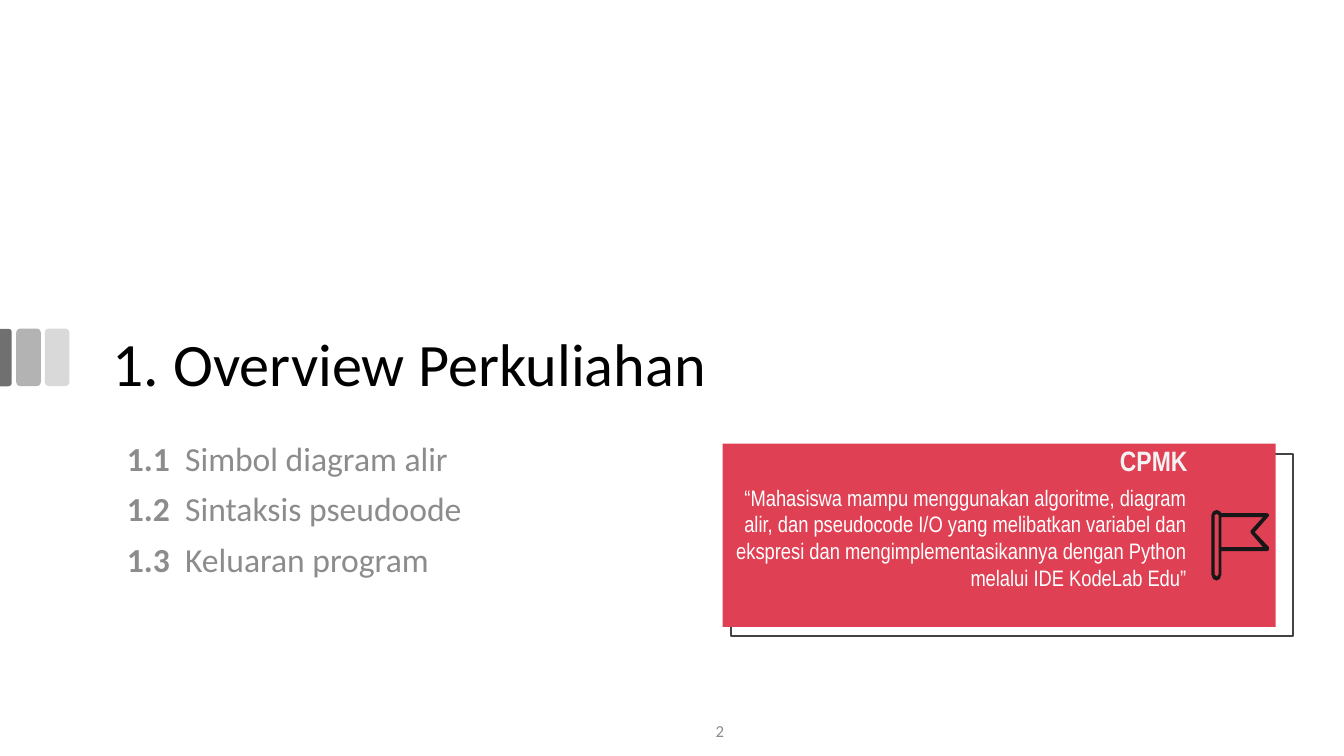
from pptx import Presentation
from pptx.dml.color import RGBColor
from pptx.enum.shapes import MSO_SHAPE
from pptx.enum.text import MSO_ANCHOR, MSO_AUTO_SIZE, PP_ALIGN
from pptx.util import Cm, Pt

RECT, ROUND = MSO_SHAPE.RECTANGLE, MSO_SHAPE.ROUNDED_RECTANGLE
ROUND_TOP = MSO_SHAPE.ROUND_2_SAME_RECTANGLE
LEFT, CENTER, RIGHT, JUSTIFY = PP_ALIGN.LEFT, PP_ALIGN.CENTER, PP_ALIGN.RIGHT, PP_ALIGN.JUSTIFY
TOP, MIDDLE, BOTTOM = MSO_ANCHOR.TOP, MSO_ANCHOR.MIDDLE, MSO_ANCHOR.BOTTOM
NO_FIT = MSO_AUTO_SIZE.NONE

COLORS = {
    "title": "000000", "muted": "8C8C8C", "card": "E04053", "frame": "434343",
    "quote": "FFFFFF", "heading": "F4F2F2", "flag": "181717",
    "bar_dark": "707070", "bar_mid": "B3B3B3", "bar_light": "D9D9D9",
}
TOPICS = [
    ("1.1  ", "Simbol diagram alir", 1.42),
    ("1.2  ", "Sintaksis pseudoode", 1.6),
    ("1.3  ", "Keluaran program", 1.42),
]
QUOTE = ("“Mahasiswa mampu menggunakan algoritme, diagram alir, dan pseudocode I/O "
         "yang melibatkan variabel dan ekspresi dan mengimplementasikannya dengan "
         "Python melalui IDE KodeLab Edu”")
FLAG = [
    [(3066, 1285), (3075, 1289), (3078, 1293), (3193, 1293), (3198, 1296), (3198, 1300),
     (3162, 1341), (3198, 1379), (3198, 1386), (3193, 1389), (3078, 1389), (3078, 1448),
     (3074, 1459), (3066, 1463), (3057, 1459), (3053, 1448), (3053, 1298), (3057, 1289)],
    [(3183, 1303), (3152, 1337), (3152, 1343), (3183, 1379), (3078, 1379), (3078, 1303)],
    [(3066, 1295), (3071, 1298), (3071, 1448), (3066, 1453), (3061, 1448), (3061, 1298)],
]


def apply(obj, values):
    """Set each attribute named in values on obj."""
    for name, value in values.items():
        setattr(obj, name, value)


class Deck:
    """Hold the style and the current slide."""

    def __init__(self):
        """Start a widescreen deck with one title-only slide."""
        self.prs = Presentation()
        apply(self.prs, {"slide_width": Cm(33.87), "slide_height": Cm(19.05)})
        self.s = self.prs.slides.add_slide(self.prs.slide_layouts[5])

    def paint(self, sp, fill=None, line=None):
        """Give a shape its fill and outline and drop its shadow."""
        sp.shadow.inherit = False
        if fill:
            sp.fill.solid()
            sp.fill.fore_color.rgb = RGBColor.from_string(COLORS[fill])
        else:
            sp.fill.background()
        if line:
            sp.line.color.rgb = RGBColor.from_string(COLORS[line])
            sp.line.width = Pt(1.5)
        else:
            sp.line.fill.background()
        return sp

    def shape(self, kind, box, fill=None, line=None):
        """Add a preset shape."""
        return self.paint(self.s.shapes.add_shape(kind, *map(Cm, box)), fill, line)

    def outline(self, contours, fill):
        """Add a filled freeform from contours in hundredths of a centimetre."""
        builder = self.s.shapes.build_freeform(*contours[0][0], scale=Cm(0.01))
        for contour in contours:
            if contour is not contours[0]:
                builder.move_to(*contour[0])
            builder.add_line_segments(contour[1:], close=True)
        return self.paint(builder.convert_to_shape(), fill)

    def frame(self, sp, box, anchor=TOP, inset=0.13):
        """Place a text shape and return its text frame."""
        apply(sp, dict(zip(("left", "top", "width", "height"), map(Cm, box))))
        tf = sp.text_frame
        apply(tf, {"word_wrap": True, "auto_size": NO_FIT, "vertical_anchor": anchor,
                   "margin_left": Cm(0.25), "margin_right": Cm(0.25),
                   "margin_top": Cm(inset), "margin_bottom": Cm(inset)})
        return tf

    def text_box(self, box, anchor=TOP, inset=0.13):
        """Add a text box and return its text frame."""
        sp = self.s.shapes.add_textbox(*map(Cm, box))
        return self.frame(sp, box, anchor, inset)

    def paragraph(self, p, runs, color, font="Calibri", hang=0, **values):
        """Fill a paragraph with (text, size, bold) runs."""
        apply(p, values)
        if hang:
            pPr = p._p.get_or_add_pPr()
            pPr.set("marL", str(Cm(hang)))
            pPr.set("indent", str(-Cm(hang)))
        for text, size, bold in runs:
            r = p.add_run()
            r.text = text
            apply(r.font, {"name": font, "size": Pt(size), "bold": bold})
            r.font.color.rgb = RGBColor.from_string(COLORS[color])

    def title(self, box, runs):
        """Place and fill the title placeholder."""
        tf = self.frame(self.s.shapes.title, box, BOTTOM)
        self.paragraph(tf.paragraphs[0], runs, "title", alignment=LEFT, line_spacing=0.9)

    def topics(self, box, topics):
        """Add the numbered list of topics."""
        tf = self.text_box(box)
        for i, (number, topic, hang) in enumerate(topics):
            p = tf.add_paragraph() if i else tf.paragraphs[0]
            self.paragraph(p, [(number, 24, True), (topic, 24, False)], "muted", hang=hang,
                           alignment=JUSTIFY, line_spacing=0.9, space_before=Pt(10))

    def label(self, box, run, color, alignment, font="Calibri", anchor=TOP, inset=0.13):
        """Add a text box with one paragraph."""
        tf = self.text_box(box, anchor, inset)
        self.paragraph(tf.paragraphs[0], [run], color, font, alignment=alignment)


def main():
    """Build the slide and save it."""
    deck = Deck()
    for i, fill in enumerate(("bar_mid", "bar_light")):
        deck.shape(ROUND, (0.41 + 0.72 * i, 8.28, 0.62, 1.45), fill)
    bar = deck.shape(ROUND_TOP, (-0.58, 8.86, 1.45, 0.3), "bar_dark")
    bar.rotation = 90
    bar.adjustments[0] = 0.29

    deck.title((2.59, 7.67, 29.21, 2.54),
               [("1. ", 44, False), ("Overview Perkuliahan", 43, False)])
    deck.topics((2.95, 11.02, 19.28, 5.51), TOPICS)
    deck.label((14.33, 17.91, 7.62, 1.02), ("2", 12, False), "muted", CENTER, anchor=MIDDLE)

    deck.shape(RECT, (18.42, 11.43, 14.17, 4.6), line="frame")
    deck.shape(RECT, (18.21, 11.18, 13.94, 4.62), "card")
    deck.label((17.88, 11.94, 12.27, 3.38), (QUOTE, 16, False), "quote", RIGHT,
               "Arial Narrow", inset=0.25)
    deck.label((21.26, 10.72, 8.92, 1.55), ("CPMK", 20, True), "heading", RIGHT,
               "Arial Narrow", BOTTOM, 0.25)
    deck.outline(FLAG, "flag")
    deck.prs.save("out.pptx")


if __name__ == "__main__":
    main()
